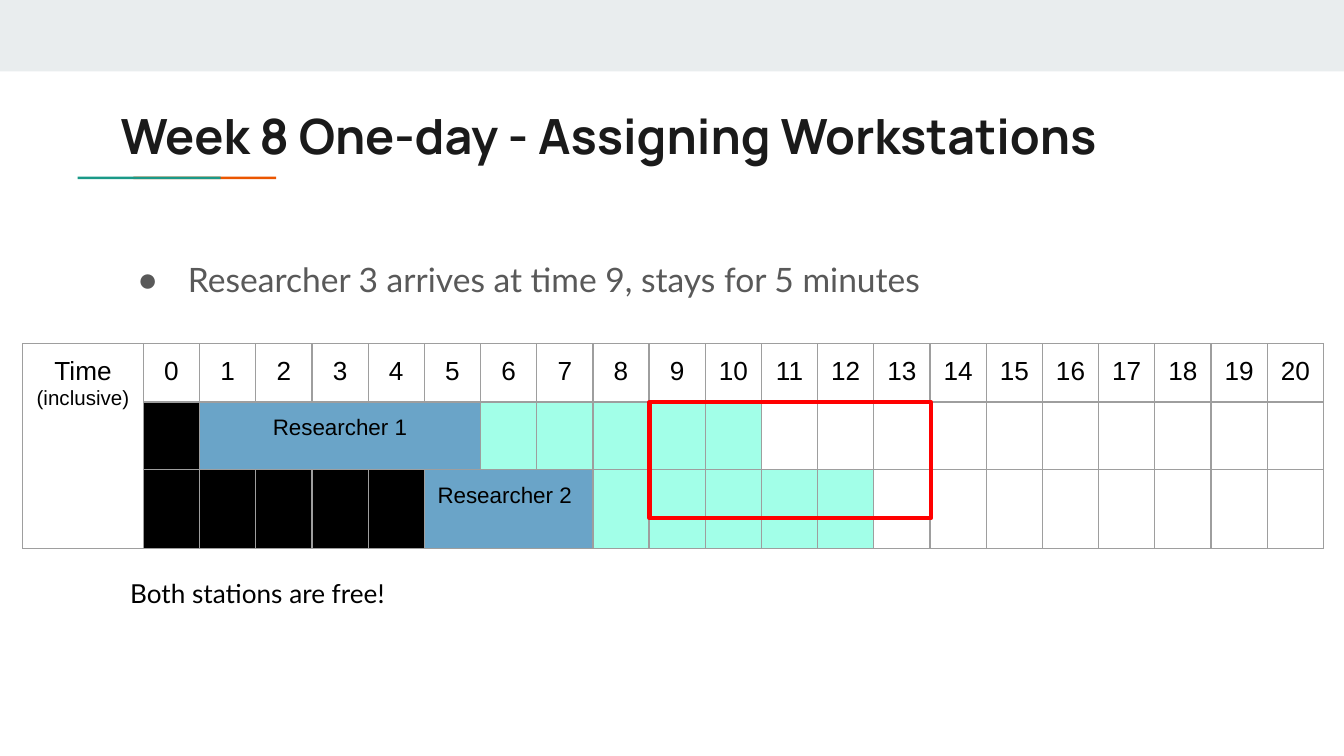
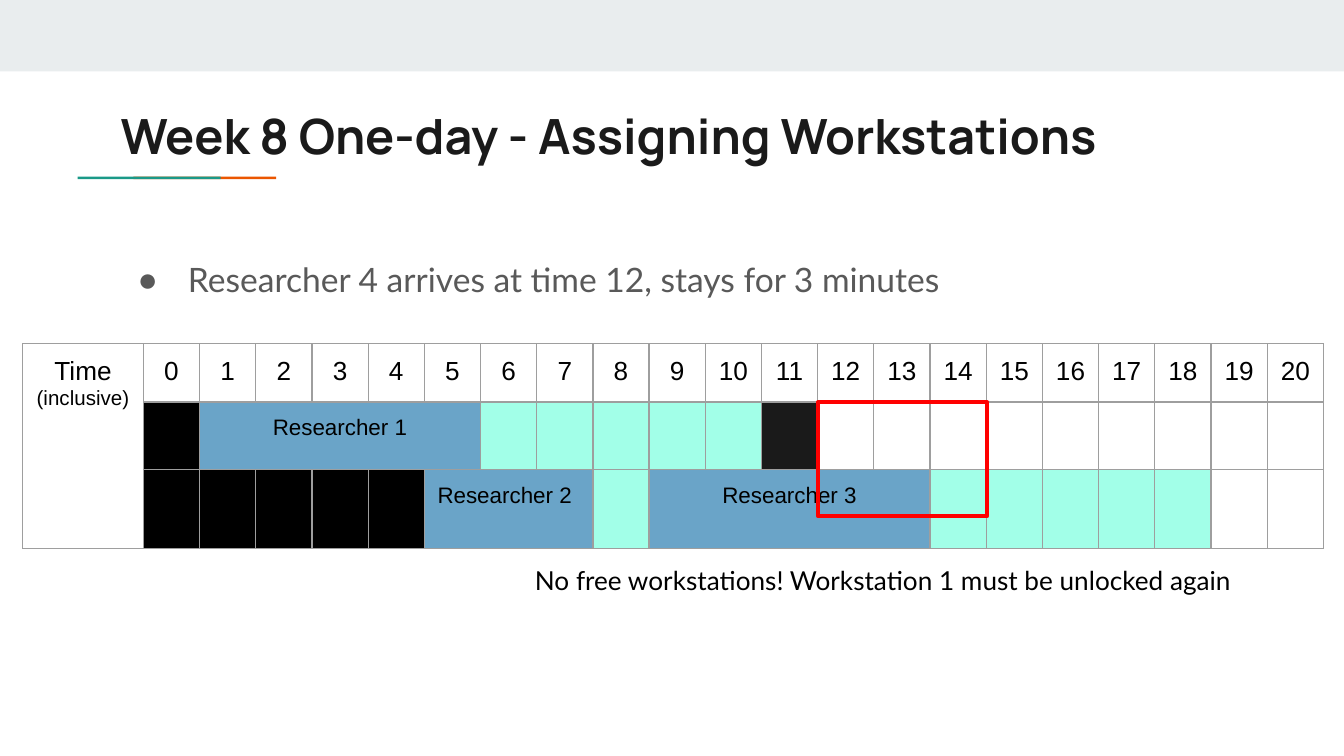
import dataclasses

import lxml.etree
import pptx
import pptx.dml.color
import pptx.enum.shapes
import pptx.enum.text
import pptx.oxml.ns
import pptx.util

Cm = pptx.util.Cm
Pt = pptx.util.Pt
ALIGN = pptx.enum.text.PP_ALIGN


@dataclasses.dataclass(frozen=True)
class Theme:
    band: str = "E9EDEE"
    teal: str = "1A9988"
    orange: str = "EB5600"
    ink: str = "1A1A1A"
    grey: str = "595959"
    black: str = "000000"
    grid: str = "9E9E9E"
    busy: str = "6AA4C8"
    unlocked: str = "A2FFE8"
    arrival: str = "FF0000"
    title_font: str = "Manrope"
    body_font: str = "Lato"
    table_font: str = "Arial"
    title_size: int = 26
    body_size: int = 18
    note_size: int = 14
    time_size: int = 14
    booking_size: int = 12
    small_size: int = 11


THEME = Theme()

# Timeline geometry in centimetres
TIMES = range(21)
TABLE_LEFT, TABLE_TOP = 0.43, 6.5
LABEL_WIDTH, TIMES_WIDTH, ROW_HEIGHT = 2.28, 22.32, 1.1
SLOT = TIMES_WIDTH / len(TIMES)


def rgb(value):
    return pptx.dml.color.RGBColor.from_string(value)


def add_xml(parent, tag, **attributes):
    return lxml.etree.SubElement(parent, pptx.oxml.ns.qn(tag), **attributes)


class Deck:
    def __init__(self, theme):
        self.theme = theme
        self.presentation = pptx.Presentation()
        self.presentation.slide_width = Cm(25.4)
        self.presentation.slide_height = Cm(14.29)
        self.layout = self.presentation.slide_layouts[1]
        self.slide = None

    def new_slide(self):
        first = self.slide is None
        self.slide = self.presentation.slides.add_slide(self.layout)
        if first:
            self.decorate_layout()

    def decorate_layout(self):
        """Move the top band and title underline into the shared layout."""
        band = self.rectangle(0, 0, 25.4, 1.35, fill=self.theme.band)
        orange = self.rectangle(2.52, 3.34, 2.7, 0.05, fill=self.theme.orange)
        teal = self.rectangle(1.47, 3.34, 2.7, 0.05, fill=self.theme.teal)
        for order, shape in enumerate((band, orange, teal)):
            shape.element.nvSpPr.cNvPr.id = 20 + order
            self.layout.shapes.element.insert(2 + order, shape.element)

    def rectangle(self, left, top, width, height, fill=None, line=None):
        shape = self.slide.shapes.add_shape(
            pptx.enum.shapes.MSO_SHAPE.RECTANGLE,
            Cm(left), Cm(top), Cm(width), Cm(height))
        shape.shadow.inherit = False
        if fill:
            shape.fill.solid()
            shape.fill.fore_color.rgb = rgb(fill)
        else:
            shape.fill.background()
        if line:
            shape.line.color.rgb = rgb(line)
            shape.line.width = Pt(2.25)
        else:
            shape.line.fill.background()
        return shape

    def style(self, font, name, size, color, bold=False):
        font.name, font.size, font.bold = name, Pt(size), bold
        font.color.rgb = rgb(color)

    def set_text(self, frame, text, name, size, color, bold=False, align=ALIGN.LEFT):
        paragraph = frame.paragraphs[0]
        paragraph.text = text
        paragraph.alignment = align
        for target in (paragraph, *paragraph.runs):
            self.style(target.font, name, size, color, bold)
        return paragraph

    def prepare(self, shape):
        frame = shape.text_frame
        frame.word_wrap = True
        frame.auto_size = pptx.enum.text.MSO_AUTO_SIZE.NONE
        frame.vertical_anchor = pptx.enum.text.MSO_ANCHOR.TOP
        frame.margin_left = frame.margin_right = Cm(0.25)
        frame.margin_top = frame.margin_bottom = Cm(0.25)
        return frame

    def place(self, shape, left, top, width, height):
        shape.left, shape.top = Cm(left), Cm(top)
        shape.width, shape.height = Cm(width), Cm(height)
        return self.prepare(shape)

    def title(self, text):
        frame = self.place(self.slide.shapes.title, 2.03, 1.75, 21.36, 1.5)
        self.set_text(frame, text, self.theme.title_font, self.theme.title_size,
                      self.theme.ink, bold=True)

    def bullet(self, text):
        frame = self.place(self.slide.placeholders[1], 2.03, 4.27, 21.36, 1.2)
        properties = frame.paragraphs[0]._p.get_or_add_pPr()
        properties.set("marL", str(Cm(1.27)))
        properties.set("indent", str(Cm(-0.95)))
        add_xml(add_xml(properties, "a:buClr"), "a:srgbClr", val=self.theme.grey)
        add_xml(properties, "a:buChar", char="●")
        paragraph = self.set_text(frame, text, self.theme.body_font,
                                  self.theme.body_size, self.theme.grey)
        paragraph.line_spacing = 1.5
        paragraph.space_before = Pt(0)

    def note(self, text, left, top, width, height):
        box = self.slide.shapes.add_textbox(Cm(left), Cm(top), Cm(width), Cm(height))
        self.set_text(self.prepare(box), text, self.theme.body_font,
                      self.theme.note_size, self.theme.black)

    def arrival_window(self, start, minutes, height):
        self.rectangle(TABLE_LEFT + LABEL_WIDTH + start * SLOT,
                       TABLE_TOP + ROW_HEIGHT, minutes * SLOT, height,
                       line=self.theme.arrival)

    def format_cell(self, cell):
        cell.margin_left = cell.margin_right = Cm(0.25)
        cell.margin_top = cell.margin_bottom = Cm(0.25)
        properties = cell._tc.get_or_add_tcPr()
        for side in ("a:lnL", "a:lnR", "a:lnT", "a:lnB"):
            border = add_xml(properties, side, w=str(Pt(0.75)))
            add_xml(add_xml(border, "a:solidFill"), "a:srgbClr", val=self.theme.grid)
        cell.fill.background()

    def table_text(self, cell, text, size, align=ALIGN.CENTER):
        return self.set_text(cell.text_frame, text, self.theme.table_font, size,
                             self.theme.black, align=align)

    def timeline(self, stations):
        rows = len(stations) + 1
        table = self.slide.shapes.add_table(
            rows, len(TIMES) + 1, Cm(TABLE_LEFT), Cm(TABLE_TOP),
            Cm(LABEL_WIDTH + TIMES_WIDTH), Cm(rows * ROW_HEIGHT)).table
        table.first_row = table.horz_banding = False
        for column in table.columns:
            column.width = Cm(SLOT)
        table.columns[0].width = Cm(LABEL_WIDTH)
        for row in table.rows:
            row.height = Cm(ROW_HEIGHT)
        for cell in table.iter_cells():
            self.format_cell(cell)

        # Time header
        label = table.cell(0, 0)
        label.merge(table.cell(rows - 1, 0))
        heading = self.table_text(label, "Time ", self.theme.time_size)
        qualifier = heading.add_run()
        qualifier.text = "(inclusive)"
        self.style(qualifier.font, self.theme.table_font, self.theme.small_size,
                   self.theme.black)
        for time in TIMES:
            self.table_text(table.cell(0, time + 1), str(time), self.theme.time_size)

        # Station states and bookings
        for row, (states, bookings) in enumerate(stations, start=1):
            for start, minutes, color in states:
                for time in range(start, start + minutes):
                    self.fill_cell(table.cell(row, time + 1), color)
            for start, minutes, researcher, align in bookings:
                booking = table.cell(row, start + 1)
                booking.merge(table.cell(row, start + minutes))
                self.fill_cell(booking, self.theme.busy)
                self.table_text(booking, researcher, self.theme.booking_size, align)

    def fill_cell(self, cell, color):
        cell.fill.solid()
        cell.fill.fore_color.rgb = rgb(color)


def main():
    deck = Deck(THEME)
    heading = "Week 8 One-day - Assigning Workstations"
    researcher_1 = (1, 5, "Researcher 1", ALIGN.CENTER)
    researcher_2 = (5, 3, "Researcher 2", ALIGN.LEFT)
    researcher_3 = (9, 5, "Researcher 3", ALIGN.CENTER)
    # States are (start, minutes, colour)
    station_1 = [(0, 1, THEME.black), (6, 5, THEME.unlocked)]
    locked_2 = (0, 5, THEME.black)

    # Researcher 3 arrives
    deck.new_slide()
    deck.title(heading)
    deck.bullet("Researcher 3 arrives at time 9, stays for 5 minutes")
    deck.timeline([
        (station_1, [researcher_1]),
        ([locked_2, (8, 5, THEME.unlocked)], [researcher_2]),
    ])
    deck.note("Both stations are free!", 2.21, 10.67, 14.33, 1.02)
    deck.arrival_window(9, 5, height=2.2)

    # Researcher 4 arrives
    deck.new_slide()
    deck.title(heading)
    deck.bullet("Researcher 4 arrives at time 12, stays for 3 minutes")
    deck.timeline([
        (station_1 + [(11, 1, THEME.ink)], [researcher_1]),
        ([locked_2, (8, 1, THEME.unlocked), (14, 5, THEME.unlocked)],
         [researcher_2, researcher_3]),
    ])
    deck.arrival_window(12, 3, height=2.16)
    deck.note("No free workstations! Workstation 1 must be unlocked again",
              9.86, 10.41, 14.81, 1.5)

    deck.presentation.save("out.pptx")


if __name__ == "__main__":
    main()
